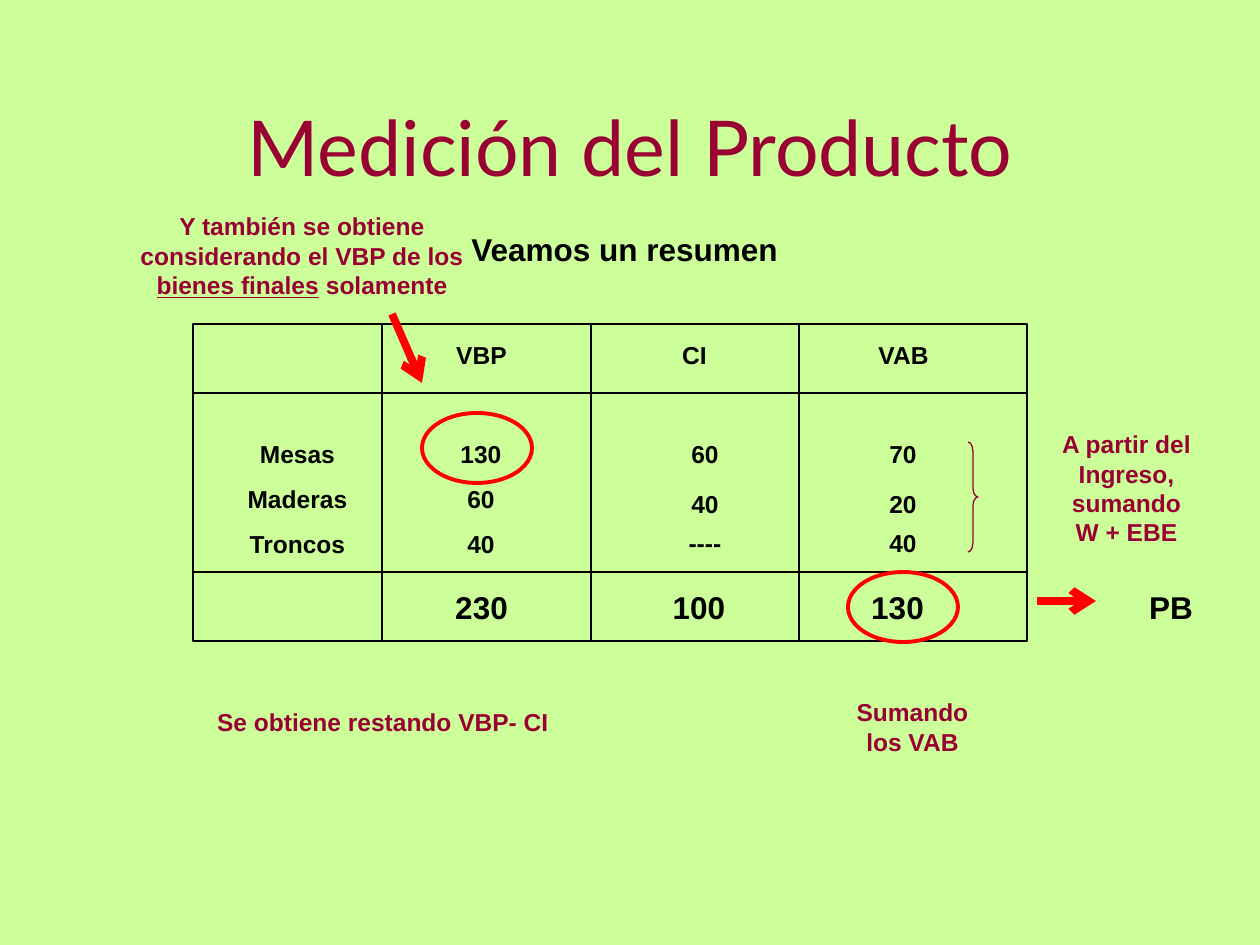
import lxml.etree
import pptx
import pptx.dml.color
import pptx.enum.shapes
import pptx.enum.text
import pptx.oxml.ns
import pptx.util

SCALE = 914400 // 126  # EMU in one px
BLACK, WINE, RED, LIME = "000000", "990033", "FF0000", "CCFF99"
SHAPES = pptx.enum.shapes.MSO_SHAPE


def emu(*px):
    return [pptx.util.Emu(n * SCALE) for n in px]


def color(code):
    return pptx.dml.color.RGBColor.from_string(code)


def add(node, tag, **attrs):
    """Append a child element to an XML node."""
    return lxml.etree.SubElement(node, pptx.oxml.ns.qn(tag), **attrs)


class Deck:
    font = "Arial"

    def __init__(self):
        self.file = pptx.Presentation()
        self.file.slide_width = pptx.util.Inches(10)
        self.file.slide_height = pptx.util.Inches(7.5)
        self.slide = self.file.slides.add_slide(self.file.slide_layouts[6])
        fill = self.slide.background.fill
        fill.solid()
        fill.fore_color.rgb = color(LIME)

    def text(self, box, *paras, size=14, ink=BLACK, bold=True, font=None, grow=True):
        """Add centred text; a paragraph is a string or a list of (words, underlined)."""
        frame = self.slide.shapes.add_textbox(*emu(*box)).text_frame
        frame.word_wrap = True
        if grow:
            frame.auto_size = pptx.enum.text.MSO_AUTO_SIZE.SHAPE_TO_FIT_TEXT
        else:
            frame.vertical_anchor = pptx.enum.text.MSO_ANCHOR.MIDDLE
        for i, runs in enumerate(paras):
            para = frame.paragraphs[0] if i == 0 else frame.add_paragraph()
            para.alignment = pptx.enum.text.PP_ALIGN.CENTER
            if grow:
                para.space_before = pptx.util.Pt(8.8 if size == 14 else 11.2)
            for words, under in [(runs, None)] if isinstance(runs, str) else runs:
                run = para.add_run()
                run.text = words
                run.font.name = font or self.font
                run.font.size = pptx.util.Pt(size)
                run.font.bold = bold
                run.font.underline = under
                run.font.color.rgb = color(ink)

    def shape(self, kind, box, ink=BLACK, width=0.75):
        """Add an unfilled outline."""
        shape = self.slide.shapes.add_shape(kind, *emu(*box))
        shape.shadow.inherit = False
        shape.fill.background()
        shape.line.color.rgb = color(ink)
        shape.line.width = pptx.util.Pt(width)
        return shape

    def line(self, ends, ink=BLACK, width=0.75):
        kind = pptx.enum.shapes.MSO_CONNECTOR.STRAIGHT
        line = self.slide.shapes.add_connector(kind, *emu(*ends))
        line.line.color.rgb = color(ink)
        line.line.width = pptx.util.Pt(width)
        add(line._element.spPr, "a:effectLst")
        return line

    def arrow(self, ends):
        line = self.line(ends, RED, 4.5)
        stroke = line._element.spPr.find(pptx.oxml.ns.qn("a:ln"))
        add(stroke, "a:tailEnd", type="arrow")

    def ring(self, left, top):
        self.shape(SHAPES.OVAL, (left, top, 110, 70), RED, 2.25)


def main():
    deck = Deck()
    deck.text((95, 66, 1071, 159), "Medición del Producto",
              size=44, ink=WINE, bold=False, font="Lato", grow=False)
    deck.text((193, 224, 863, 50), "Veamos un resumen", size=18)

    # Grid
    left, top, right, bottom = 193, 324, 1027, 641
    deck.shape(SHAPES.RECTANGLE, (left, top, right - left, bottom - top))
    for y in (393, 572):
        deck.line((left, y, right, y))
    for x in (382, 591, 799):
        deck.line((x, top, x, bottom))

    # Headings and totals: left and width of each box
    for x, wide, word in ((392, 179, "VBP"), (610, 169, "CI"), (819, 169, "VAB")):
        deck.text((x, 334, wide, 43), word)
    for x, wide, word in ((422, 119, "230"), (630, 138, "100"),
                          (838, 119, "130"), (1126, 90, "PB")):
        deck.text((x, 582, wide, 50), word, size=18)

    # Body
    deck.text((223, 433, 149, 132), "Mesas", "Maderas", "Troncos")
    deck.text((382, 433, 198, 132), "130", "60", "40")
    for x, words in ((660, ("60", "40", "----")), (858, ("70", "20", "40"))):
        for y, word in zip((433, 483, 522), words):
            deck.text((x, y, 90, 43), word)

    # Notes
    deck.text((95, 701, 576, 43), "Se obtiene restando VBP- CI", ink=WINE)
    deck.text((838, 691, 149, 72), "Sumando los VAB", ink=WINE)
    deck.text((1047, 423, 159, 131), "A partir del Ingreso, sumando W + EBE", ink=WINE)
    deck.text((123, 205, 358, 101),
              [("Y también se obtiene considerando el VBP de los ", None),
               ("bienes finales", True), (" solamente", False)], ink=WINE)

    # Marks
    brace = deck.shape(SHAPES.RIGHT_BRACE, (968, 442, 10, 110), WINE)
    brace.adjustments[0] = 0.9
    deck.ring(848, 572)
    deck.ring(422, 413)
    deck.arrow((1037, 601, 1096, 601))
    deck.arrow((392, 314, 422, 383))

    deck.file.save("out.pptx")


if __name__ == "__main__":
    main()
